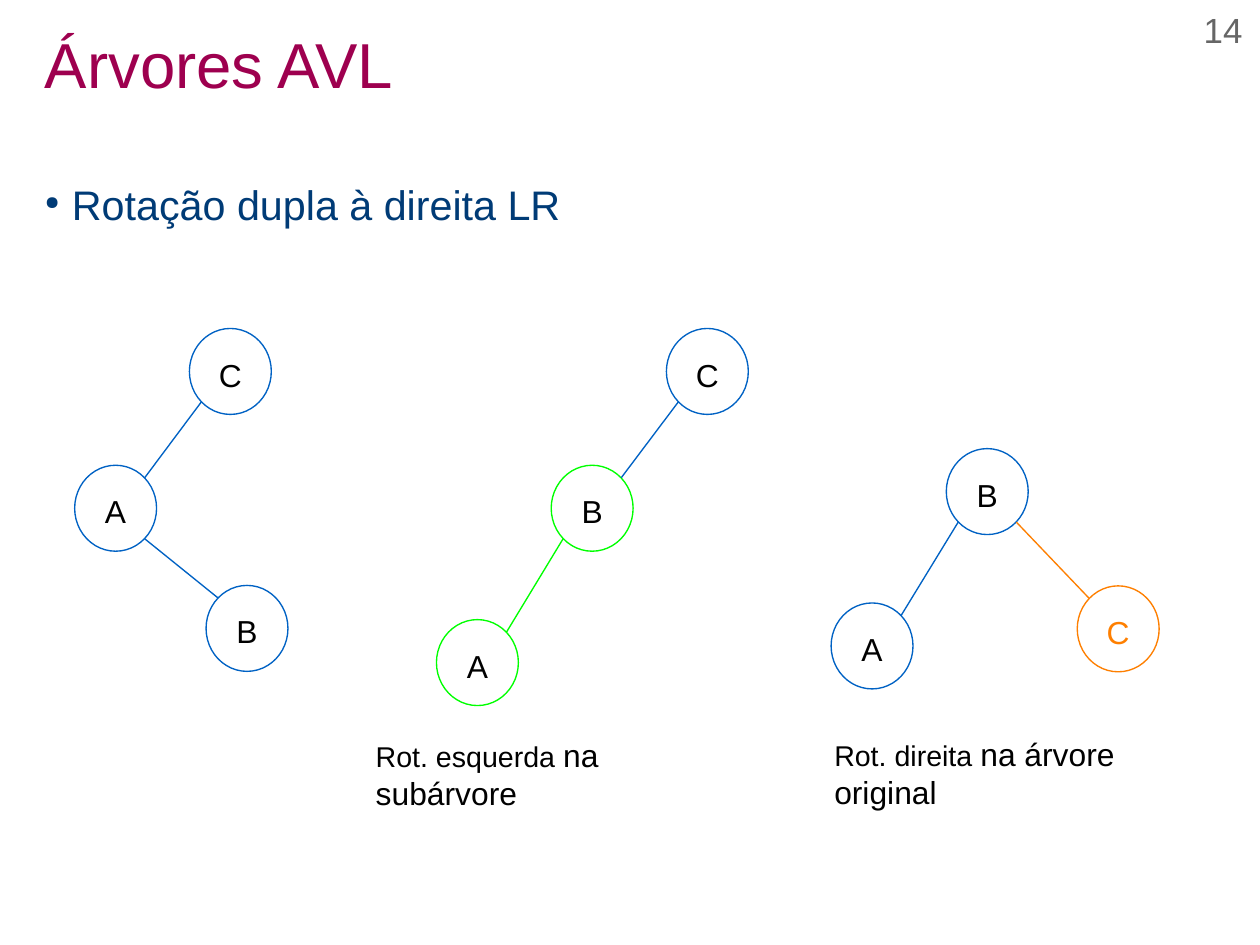
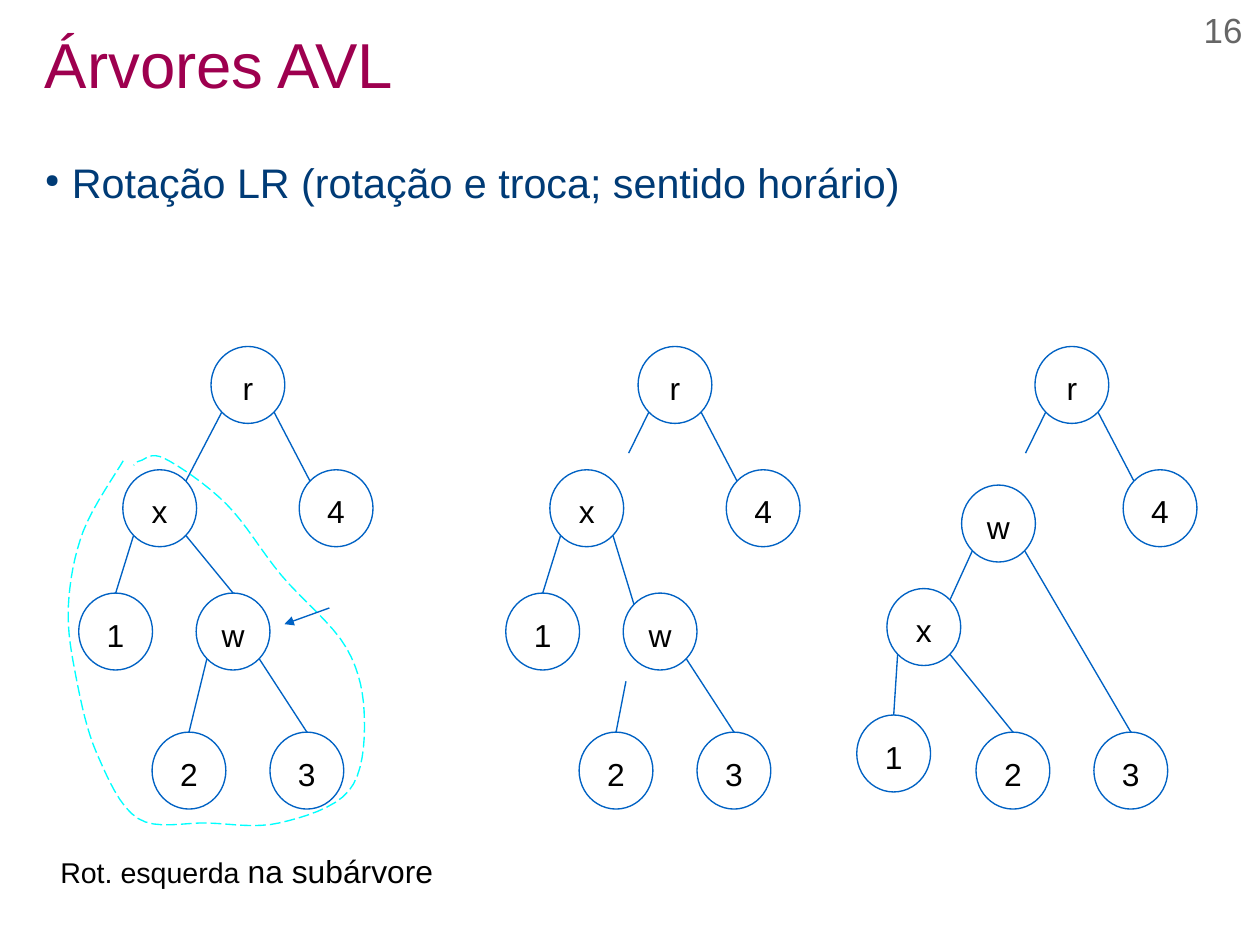
import lxml.etree
import pptx
import pptx.dml.color
import pptx.enum.dml
import pptx.enum.shapes
import pptx.enum.text
import pptx.oxml.ns
import pptx.util

Cm, Pt = pptx.util.Cm, pptx.util.Pt
ALIGN, ANCHOR = pptx.enum.text.PP_ALIGN, pptx.enum.text.MSO_ANCHOR

COLORS = {
    "title": "9E004F", "body": "003B76", "text": "000000", "number": "666666",
    "node": "0062C4", "subtree": "00FF00", "moved": "FE7F00", "outline": "00FFFF",
}
FONT_SIZES = {"title": 40, "body": 26, "number": 22, "node": 20, "lead": 18, "rest": 20}
NO_MARGINS = dict.fromkeys(
    ("margin_left", "margin_top", "margin_right", "margin_bottom"), 0)
FRAME_FORMATS = {
    "title": {**NO_MARGINS, "vertical_anchor": ANCHOR.MIDDLE},
    "body": NO_MARGINS,
    "number": NO_MARGINS,
    "caption": {},
    "node": {"vertical_anchor": ANCHOR.MIDDLE},
}
PARAGRAPH_FORMATS = {
    "title": {"line_spacing": 0.9},
    "body": {},
    "number": {"alignment": ALIGN.RIGHT},
    "caption": {},
    "node": {"alignment": ALIGN.CENTER, "line_spacing": 1.15},
}

# Points on a node, as fractions of its half width and half height
DIAGONAL = 0.71
SITES = {
    "top": (0, -1),
    "top left": (-DIAGONAL, -DIAGONAL), "top right": (DIAGONAL, -DIAGONAL),
    "low left": (-DIAGONAL, DIAGONAL), "low right": (DIAGONAL, DIAGONAL),
}

# Slide 1: node positions and (start, site, end, site, colour) edges, in cm
LARGE_NODE = (1.82, 1.91)
ROTATION_STEPS = [
    ({"A": (1.66, 10.34), "C": (4.21, 7.3), "B": (4.58, 13.01)},
     [("A", "low right", "B", "top left"), ("A", "top right", "C", "low left")], {}),
    ({"B": (12.25, 10.34), "C": (14.81, 7.3), "A": (9.7, 13.77)},
     [("B", "low left", "A", "top right", "subtree"),
      ("B", "top right", "C", "low left")],
     {"A": "subtree", "B": "subtree"}),
    ({"B": (21.03, 9.97), "C": (23.94, 13.02), "A": (18.47, 13.4)},
     [("B", "low left", "A", "top right"),
      ("B", "low right", "C", "top left", "moved")],
     {"C": "moved"}),
]

# Slide 2: positions relative to the root; a point in place of a name is a loose end
SMALL_NODE = (1.64, 1.71)
ROOT_TOP = 7.7
ROOT_LEFTS = (4.69, 14.18, 23.0)
BEFORE = {"r": (0, 0), "x": (-1.96, 2.74), "4": (1.96, 2.74), "w": (-0.33, 5.48),
          "1": (-2.94, 5.48), "2": (-1.31, 8.57), "3": (1.31, 8.57)}
AFTER = {**BEFORE, "w": (-1.63, 3.08), "x": (-3.29, 5.38), "1": (-3.96, 8.19)}
COMMON_EDGES = [("r", "low right", "4", "top left"), ("x", "low left", "1", "top"),
                ("w", "low right", "3", "top")]
CUT_FROM_ROOT = ("r", "low left", (-0.21, 2.37), None)
EXCHANGE_STEPS = [
    (BEFORE, [("r", "low left", "x", "top right"), ("w", "low left", "2", "top"),
              ("x", "low right", "w", "top")]),
    (BEFORE, [CUT_FROM_ROOT, ((-0.27, 7.44), None, "2", "top"),
              ("x", "low right", "w", "top left")]),
    (AFTER, [CUT_FROM_ROOT, ("x", "low right", "2", "top"),
             ("w", "low left", "x", "top right")]),
]
SUBTREE_KNOTS = [
    (2.74, 10.24), (1.85, 11.81), (1.52, 13.49), (1.7, 15.09), (2.16, 16.76),
    (3.07, 18.19), (4.62, 18.29), (6.2, 18.29), (7.75, 17.58), (8.1, 16),
    (7.7, 14.4), (6.25, 12.78), (5.03, 11.2), (3.66, 10.19), (3.12, 10.24),
    (2.97, 10.34),
]


def rgb(color):
    return pptx.dml.color.RGBColor.from_string(COLORS[color])


def apply_formats(target, formats):
    for attribute, value in formats.items():
        setattr(target, attribute, value)


def add_run(paragraph, text, size, color):
    run = paragraph.add_run()
    run.text = text
    apply_formats(run.font, {"name": "Arial", "size": Pt(FONT_SIZES[size])})
    run.font.color.rgb = rgb(color)


def format_text(shape, role):
    """Format the frame for its role and return its paragraph."""
    shape.text_frame.word_wrap = True
    apply_formats(shape.text_frame, FRAME_FORMATS[role])
    paragraph = shape.text_frame.paragraphs[0]
    apply_formats(paragraph, PARAGRAPH_FORMATS[role])
    return paragraph


def add_text(slide, role, left, top, width, height):
    box = slide.shapes.add_textbox(Cm(left), Cm(top), Cm(width), Cm(height))
    return format_text(box, role)


def add_caption(slide, lead, rest, *place):
    caption = add_text(slide, "caption", *place)
    add_run(caption, lead, "lead", "text")
    add_run(caption, rest, "rest", "text")


def add_bullet(paragraph, indent):
    properties = paragraph._p.get_or_add_pPr()
    properties.set("marL", str(Cm(indent)))
    properties.set("indent", str(-Cm(indent)))
    qn = pptx.oxml.ns.qn
    bullet_color = lxml.etree.SubElement(properties, qn("a:buClr"))
    lxml.etree.SubElement(bullet_color, qn("a:srgbClr"), val=COLORS["body"])
    lxml.etree.SubElement(properties, qn("a:buSzPct"), val="45000")
    lxml.etree.SubElement(properties, qn("a:buChar"), char="●")


def add_slide(deck, number, topic, topic_top):
    """Add a slide with the shared title, page number and topic line."""
    slide = deck.slides.add_slide(deck.slide_layouts[6])
    title = add_text(slide, "title", 1, 0.5, 26, 2)
    add_run(title, "Árvores AVL", "title", "title")
    topic_line = add_text(slide, "body", 1, topic_top, 26, 16.5)
    add_bullet(topic_line, 0.6)
    add_run(topic_line, topic, "body", "body")
    page_number = add_text(slide, "number", 20.67, 0.2, 6.94, 1.18)
    add_run(page_number, str(number), "number", "number")
    return slide


def set_line(shape, color):
    shape.line.color.rgb = rgb(color)
    shape.line.width = Pt(0.85)


def add_node(shapes, label, position, size, color):
    node = shapes.add_shape(pptx.enum.shapes.MSO_SHAPE.OVAL,
                            *map(Cm, position), *map(Cm, size))
    node.shadow.inherit = False
    node.fill.background()
    set_line(node, color)
    add_run(format_text(node, "node"), label, "node",
            "moved" if color == "moved" else "text")


def add_edge(shapes, start, end, color="node", arrow=False):
    edge = shapes.add_connector(pptx.enum.shapes.MSO_CONNECTOR.STRAIGHT,
                                *map(Cm, start), *map(Cm, end))
    set_line(edge, color)
    qn = pptx.oxml.ns.qn
    if arrow:
        lxml.etree.SubElement(edge.get_or_add_ln(), qn("a:tailEnd"), type="triangle")
    lxml.etree.SubElement(edge._element.spPr, qn("a:effectLst"))


def add_tree(slide, positions, edges, size, node_colors, origin=(0, 0)):
    """Draw the nodes and edges of one tree as a group."""
    shapes = slide.shapes.add_group_shape().shapes

    def place(point):
        return tuple(base + offset for base, offset in zip(origin, point))

    def edge_end(name, site):
        if site is None:
            return place(name)
        return tuple(corner + side / 2 * (1 + part) for corner, side, part
                     in zip(place(positions[name]), size, SITES[site]))

    for label, position in positions.items():
        add_node(shapes, label, place(position), size, node_colors.get(label, "node"))
    for start, start_site, end, end_site, *color in edges:
        add_edge(shapes, edge_end(start, start_site), edge_end(end, end_site), *color)


def smooth_points(knots, steps=8):
    """Points of a Catmull-Rom curve through the knots."""
    padded = [knots[0], *knots, knots[-1]]
    points = [knots[0]]
    for before, start, end, after in zip(padded, padded[1:], padded[2:], padded[3:]):
        for step in range(1, steps + 1):
            t = step / steps
            points.append(tuple(
                b + t / 2 * (c - a + t * (2 * a - 5 * b + 4 * c - d
                                          + t * (3 * (b - c) + d - a)))
                for a, b, c, d in zip(before, start, end, after)))
    return points


def add_subtree_outline(slide):
    points = [(Cm(x), Cm(y)) for x, y in smooth_points(SUBTREE_KNOTS)]
    builder = slide.shapes.build_freeform(*points[0])
    builder.add_line_segments(points[1:], close=False)
    outline = builder.convert_to_shape()
    outline.shadow.inherit = False
    outline.fill.background()
    set_line(outline, "outline")
    outline.line.dash_style = pptx.enum.dml.MSO_LINE.LONG_DASH


def add_double_rotation(deck):
    slide = add_slide(deck, 14, "Rotação dupla à direita LR", 3.99)
    add_caption(slide, "Rot. esquerda ", "na subárvore", 8.1, 16.23, 8.69, 3.07)
    add_caption(slide, "Rot. direita ", "na árvore original", 18.29, 16.2, 9.14, 3.2)
    for positions, edges, node_colors in ROTATION_STEPS:
        add_tree(slide, positions, edges, LARGE_NODE, node_colors)


def add_rotation_and_exchange(deck):
    slide = add_slide(deck, 16, "Rotação LR (rotação e troca; sentido horário)", 3.5)
    add_caption(slide, "Rot. esquerda ", "na subárvore", 1.09, 18.8, 10.21, 1.04)
    for root_left, (positions, edges) in zip(ROOT_LEFTS, EXCHANGE_STEPS):
        add_tree(slide, positions, COMMON_EDGES + edges, SMALL_NODE, {},
                 (root_left, ROOT_TOP))
    add_subtree_outline(slide)
    add_edge(slide.shapes, (7.32, 13.51), (6.32, 13.87), arrow=True)


def main():
    deck = pptx.Presentation()
    deck.slide_width, deck.slide_height = Cm(28), Cm(21)
    add_double_rotation(deck)
    add_rotation_and_exchange(deck)
    deck.save("out.pptx")


if __name__ == "__main__":
    main()
